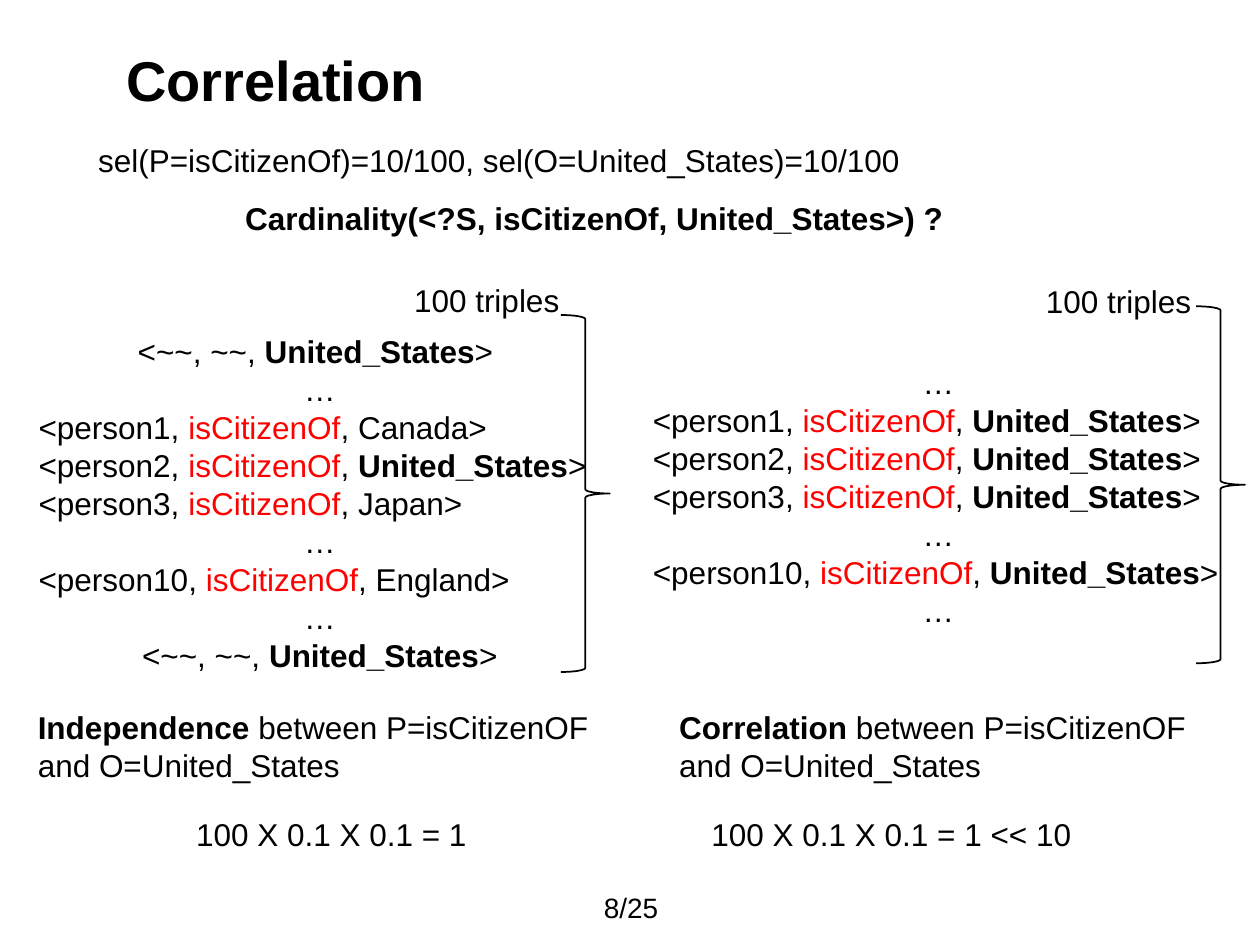
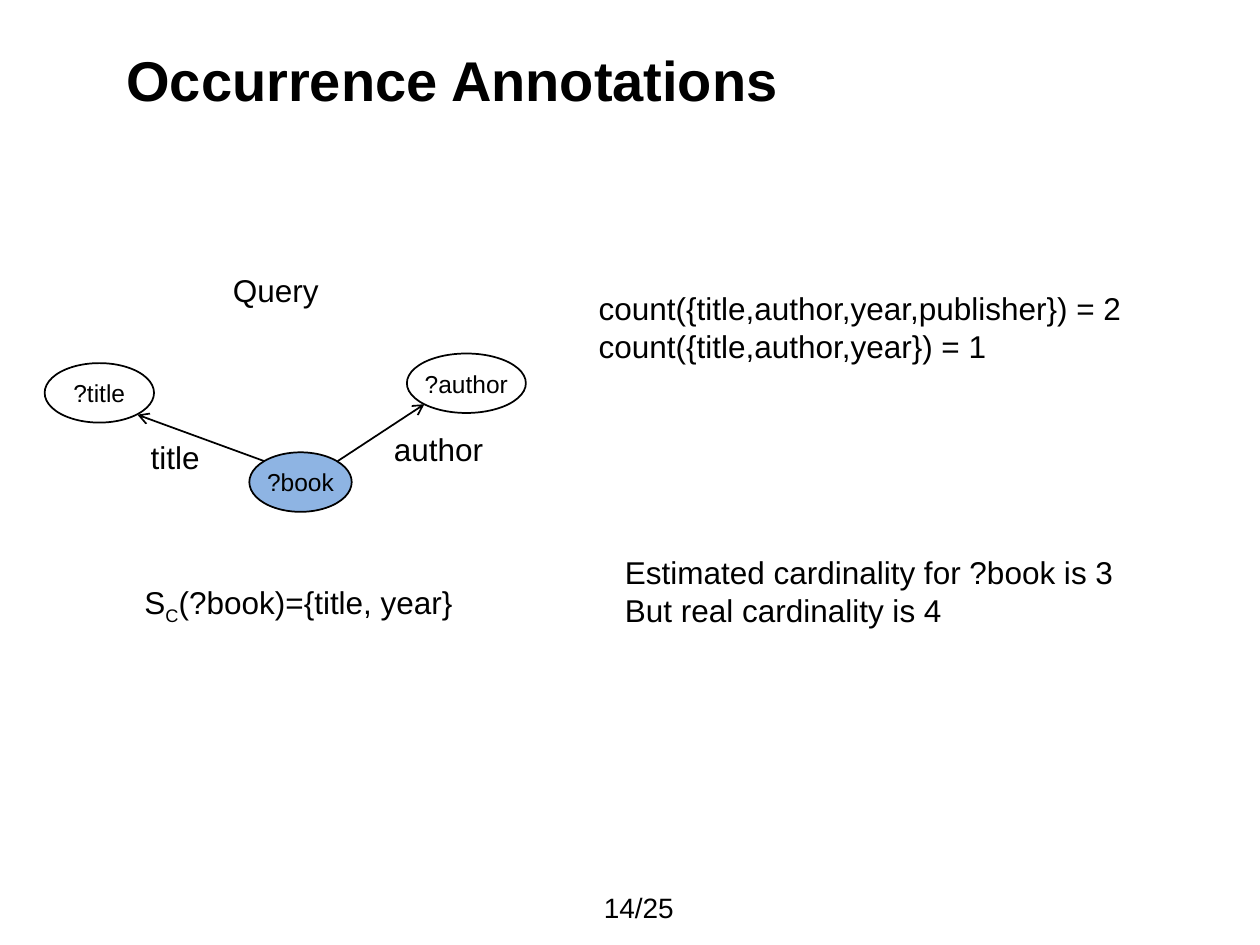
from lxml import etree
from pptx import Presentation
from pptx.dml.color import RGBColor
from pptx.enum.shapes import MSO_CONNECTOR, MSO_SHAPE
from pptx.enum.text import MSO_ANCHOR, MSO_AUTO_SIZE, PP_ALIGN
from pptx.oxml.ns import qn
from pptx.util import Pt

LEFT, CENTER = PP_ALIGN.LEFT, PP_ALIGN.CENTER
TOP, MIDDLE = MSO_ANCHOR.TOP, MSO_ANCHOR.MIDDLE
FIXED = MSO_AUTO_SIZE.NONE
OVAL, BRACE = MSO_SHAPE.OVAL, MSO_SHAPE.RIGHT_BRACE
STRAIGHT = MSO_CONNECTOR.STRAIGHT

COLORS = {"ink": "000000", "red": "FF0000", "blue": "8EB4E3"}
FONT = "Arial"
PITCH = 1.205  # line height as a multiple of the text size
PAGES = 25


def color(name):
    return RGBColor.from_string(COLORS[name])


class Deck:
    def __init__(self):
        self.prs = Presentation()
        self.prs.slide_width, self.prs.slide_height = Pt(720), Pt(540)
        self.slide = None

    def page(self, title, number):
        """Start a slide with its title and page number."""
        self.slide = self.prs.slides.add_slide(self.prs.slide_layouts[5])
        head = self.slide.shapes.title
        head.left, head.top, head.width, head.height = map(Pt, (65, 22, 597, 46))
        self.fill(head.text_frame, [title], 32, bold=True)
        self.text(338, 508, 62, 21, [f"{number}/{PAGES}"], 16, anchor=MIDDLE)

    def fill(self, frame, lines, size=18, bold=False, align=LEFT,
             anchor=MIDDLE, wrap=True):
        """Write lines; a line is a string, or a tuple (align, runs)."""
        frame.auto_size, frame.word_wrap = FIXED, wrap
        frame.vertical_anchor = anchor
        for i, line in enumerate(lines):
            para = frame.paragraphs[0] if i == 0 else frame.add_paragraph()
            side, runs = (align, [line]) if isinstance(line, str) else line
            para.alignment = side
            para.line_spacing = Pt(round(size * PITCH, 1))
            font = para.font
            font.name, font.size, font.bold = FONT, Pt(size), bold
            font.color.rgb = color("ink")
            for item in runs:
                self.run(para, item)

    def run(self, para, item):
        """Add a plain string, or a (text, style) pair."""
        text, style = (item, None) if isinstance(item, str) else item
        run = para.add_run()
        run.text = text
        if style == "bold":
            run.font.bold = True
        elif style == "red":
            run.font.color.rgb = color("red")
        elif style == "sub":
            run._r.get_or_add_rPr().set("baseline", "-25000")

    def text(self, x, y, w, h, lines, size=18, bold=False, anchor=TOP):
        box = self.slide.shapes.add_textbox(Pt(x), Pt(y), Pt(w), Pt(h))
        self.fill(box.text_frame, lines, size, bold, anchor=anchor, wrap=False)

    def shape(self, kind, x, y, w, h, back=None):
        shape = self.slide.shapes.add_shape(kind, Pt(x), Pt(y), Pt(w), Pt(h))
        shape.shadow.inherit = False
        if back:
            shape.fill.solid()
            shape.fill.fore_color.rgb = color(back)
        else:
            shape.fill.background()
        shape.line.color.rgb, shape.line.width = color("ink"), Pt(1)
        return shape

    def brace(self, x, y):
        self.shape(BRACE, x, y, 28, 204)

    def node(self, x, y, w, label, back=None):
        oval = self.shape(OVAL, x, y, w, 34, back)
        self.fill(oval.text_frame, [label], 14, align=CENTER, wrap=False)

    def arrow(self, x1, y1, x2, y2):
        link = self.slide.shapes.add_connector(
            STRAIGHT, Pt(x1), Pt(y1), Pt(x2), Pt(y2))
        link.line.color.rgb, link.line.width = color("ink"), Pt(1)
        etree.SubElement(link.line._get_or_add_ln(), qn("a:tailEnd"), type="arrow")
        etree.SubElement(link._element.spPr, qn("a:effectLst"))


STATES = ("United_States", "bold")
DOTS = (CENTER, ["…"])


def person(num, place=STATES):
    return LEFT, [f"<person{num}, ", ("isCitizenOf", "red"), ", ", place, ">"]


def other(end):
    return CENTER, ["<~~, ~~, ", STATES, end]


def relation(name):
    return [(LEFT, [(name, "bold"), " between P=isCitizenOF"]),
            "and O=United_States"]


def correlation(deck):
    deck.page("Correlation", 8)
    deck.text(49, 77, 477, 29,
              ["sel(P=isCitizenOf)=10/100, sel(O=United_States)=10/100"])
    deck.text(133, 110, 418, 29,
              ["Cardinality(<?S, isCitizenOf, United_States>) ?"], bold=True)

    deck.text(229.5, 157, 99, 29, ["100 triples"])
    deck.text(15, 186, 335.5, 204, [
        other("> "), DOTS, person(1, "Canada"), person(2), person(3, "Japan"),
        DOTS, person(10, "England"), DOTS, other(">")])
    deck.brace(320.5, 180)
    deck.text(14.5, 401, 332, 51, relation("Independence"))
    deck.text(105, 462, 171, 29, ["100 X 0.1 X 0.1 = 1"])

    deck.text(590.5, 157.5, 99, 29, ["100 triples"])
    deck.text(366, 204, 340.5, 160, [
        DOTS, person(1), person(2), person(3), DOTS, person(10), DOTS])
    deck.brace(683.5, 175)
    deck.text(381, 401, 307, 51, relation("Correlation"))
    deck.text(399.5, 462, 222, 29, ["100 X 0.1 X 0.1 = 1 << 10"])


def occurrence(deck):
    deck.page("Occurrence Annotations", 14)
    deck.text(126, 151, 64, 29, ["Query"])
    deck.node(142.5, 258.5, 58.5, "?book", "blue")
    deck.node(25.5, 207.5, 62.5, "?title")
    deck.node(232.5, 202, 68, "?author")
    deck.arrow(151, 263.5, 78.5, 237)
    deck.arrow(193, 263.5, 242.5, 231)
    deck.text(79, 246.5, 42.5, 29, ["title"])
    deck.text(218, 242, 66, 29, ["author"])
    deck.text(75.5, 332.5, 194, 29,
              [(LEFT, ["S", ("C", "sub"), "(?book)={title, year}"])])
    deck.text(335, 161.5, 360, 51, ["count({title,author,year,publisher}) = 2",
                                    "count({title,author,year}) = 1"])
    deck.text(350, 312.5, 296, 51, ["Estimated cardinality for ?book is 3",
                                    "But real cardinality is 4"])


def main():
    deck = Deck()
    correlation(deck)
    occurrence(deck)
    deck.prs.save("out.pptx")


if __name__ == "__main__":
    main()
